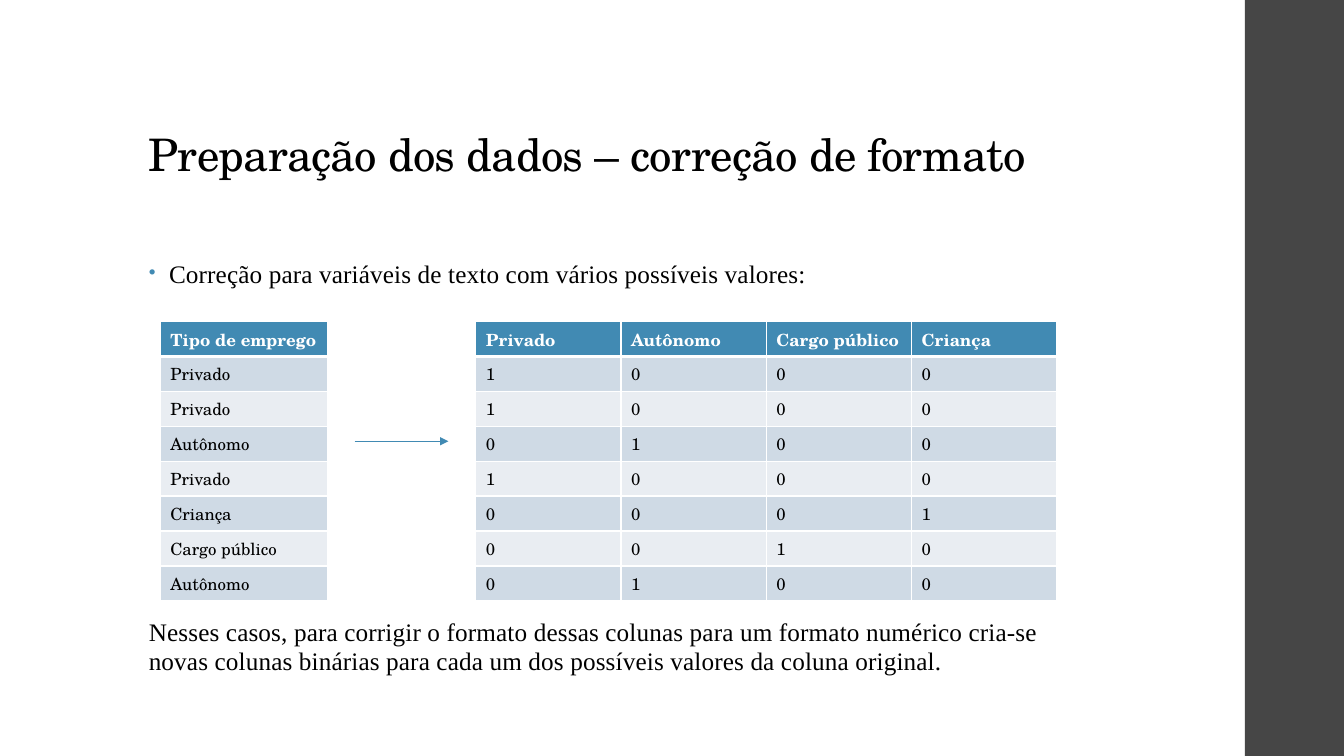
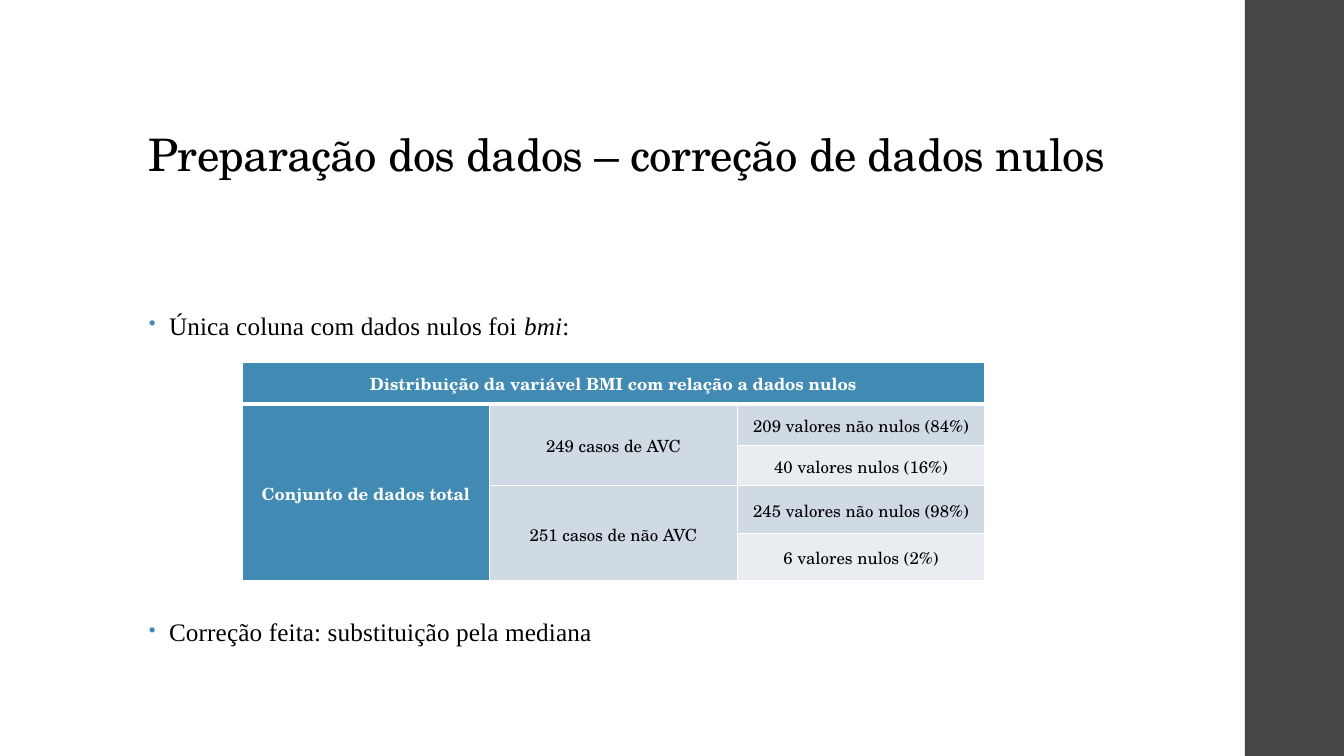
from lxml.etree import SubElement
from pptx import Presentation
from pptx.dml.color import RGBColor
from pptx.enum.shapes import MSO_CONNECTOR, MSO_SHAPE
from pptx.enum.text import MSO_ANCHOR, PP_ALIGN
from pptx.oxml import parse_xml
from pptx.oxml.ns import nsdecls, qn
from pptx.util import Cm, Pt

BLUE, DARK, LIGHT, PALE = "418AB3", "464646", "CFDAE5", "E9EDF2"
WHITE, BLACK = "FFFFFF", "000000"
HEADING_FONT, BODY_FONT = "TeX Gyre Schola", "Times New Roman"
rgb = RGBColor.from_string


def write(paragraph, text, size, font, color=BLACK, spacing=0, bold=False, italic=False):
    """Add one formatted run; spacing is in hundredths of a point."""
    run = paragraph.add_run()
    run.text = text
    run.font.size, run.font.name = Pt(size), font
    run.font.bold, run.font.italic = bold, italic
    run.font.color.rgb = rgb(color)
    if spacing:
        run.font._element.set("spc", str(spacing))


def fill_cell(cell, text, fill, heading=False, thick_side=None):
    """Write a table cell with its fill and white borders, one side optionally thick."""
    write(cell.text_frame.paragraphs[0], text, 12, HEADING_FONT,
          WHITE if heading else BLACK, bold=heading)
    properties = cell._tc.get_or_add_tcPr()
    for side in ("lnL", "lnR", "lnT", "lnB"):
        width = Pt(3 if side == thick_side else 1)
        properties.append(parse_xml(
            f'<a:{side} {nsdecls("a")} w="{width}"><a:solidFill>'
            f'<a:srgbClr val="{WHITE}"/></a:solidFill></a:{side}>'))
    cell.fill.solid()
    cell.fill.fore_color.rgb = rgb(fill)


deck = Presentation()
deck.slide_width, deck.slide_height = Cm(33.87), Cm(19.05)

# Each body text: top in cm, bulleted or not, runs as (text, italic)
contents = [
    ("Preparação dos dados – correção de formato", [
        (6.45, True, [("Correção para variáveis de texto com vários possíveis valores:", False)]),
        (15.47, False, [("Nesses casos, para corrigir o formato dessas colunas para um formato "
                         "numérico cria-se novas colunas binárias para cada um dos possíveis "
                         "valores da coluna original.", False)]),
    ]),
    ("Preparação dos dados – correção de dados nulos", [
        (7.75, True, [("Única coluna com dados nulos foi ", False), ("bmi", True), (":", False)]),
        (15.47, True, [("Correção feita: substituição pela mediana", False)]),
    ]),
]
slides = []
for title, body in contents:
    slide = deck.slides.add_slide(deck.slide_layouts[6])
    slides.append(slide)
    band = slide.shapes.add_shape(MSO_SHAPE.RECTANGLE, Cm(31.37), 0, Cm(2.5), deck.slide_height)
    band.shadow.inherit = False
    band.fill.solid()
    band.fill.fore_color.rgb = rgb(DARK)
    band.line.fill.background()

    heading = slide.shapes.add_textbox(Cm(3.5), Cm(1.02), Cm(26.92), Cm(3.68)).text_frame
    heading.word_wrap = True
    heading.vertical_anchor = MSO_ANCHOR.BOTTOM
    heading.paragraphs[0].line_spacing = 0.9
    write(heading.paragraphs[0], title, 32, HEADING_FONT, spacing=-50)

    for top, bulleted, runs in body:
        statement = slide.shapes.add_textbox(Cm(3.5), Cm(top), Cm(23.88), Cm(1)).text_frame
        statement.word_wrap = True
        paragraph = statement.paragraphs[0]
        paragraph.line_spacing = 0.95
        if bulleted:
            layout = paragraph._p.get_or_add_pPr()
            layout.set("marL", str(Cm(0.51)))
            layout.set("indent", str(-Cm(0.51)))
            SubElement(SubElement(layout, qn("a:buClr")), qn("a:srgbClr")).set("val", BLUE)
            SubElement(layout, qn("a:buSzPct")).set("val", "80000")
            SubElement(layout, qn("a:buChar")).set("char", "•")
        for text, italic in runs:
            write(paragraph, text, 18, BODY_FONT, spacing=10, italic=italic)

# Slide 1: job types and their binary columns
format_slide, nulls_slide = slides
kinds = ["Privado", "Autônomo", "Cargo público", "Criança"]
jobs = ["Privado", "Privado", "Autônomo", "Privado", "Criança", "Cargo público", "Autônomo"]
job_rows = [["Tipo de emprego"]] + [[job] for job in jobs]
binary_rows = [kinds] + [[str(int(job == kind)) for kind in kinds] for job in jobs]
for left, column_width, rows in ((4.04, 4.22, job_rows), (11.99, 3.66, binary_rows)):
    columns = len(rows[0])
    table = format_slide.shapes.add_table(
        len(rows), columns, Cm(left), Cm(8.1), Cm(column_width * columns),
        Cm(0.88 * len(rows))).table
    for r, row in enumerate(rows):
        for c, text in enumerate(row):
            fill = BLUE if r == 0 else LIGHT if r % 2 else PALE
            fill_cell(table.cell(r, c), text, fill, r == 0, {0: "lnB", 1: "lnT"}.get(r))

arrow = format_slide.shapes.add_connector(
    MSO_CONNECTOR.STRAIGHT, Cm(8.94), Cm(11.12), Cm(11.3), Cm(11.12))
arrow.line.color.rgb = rgb(BLUE)
arrow.line.width = Pt(0.75)
SubElement(arrow.line._get_or_add_ln(), qn("a:tailEnd")).set("type", "triangle")
SubElement(arrow._element.spPr, qn("a:effectLst"))

# Slide 2: tree of null and non-null values
row_heights = [1.04, 1.04, 1.02, 1.2, 1.2]
distribution = [
    ["Distribuição da variável BMI com relação a dados nulos", "", ""],
    ["Conjunto de dados total", "249 casos de AVC", "209 valores não nulos (84%)"],
    ["", "", "40 valores nulos (16%)"],
    ["", "251 casos de não AVC", "245 valores não nulos (98%)"],
    ["", "", "6 valores nulos (2%)"],
]
table = nulls_slide.shapes.add_table(
    5, 3, Cm(6.1), Cm(9.14), Cm(18.72), Cm(sum(row_heights))).table
for row, height in zip(table.rows, row_heights):
    row.height = Cm(height)
for first, last in (((0, 0), (0, 2)), ((1, 0), (4, 0)), ((1, 1), (2, 1)), ((3, 1), (4, 1))):
    table.cell(*first).merge(table.cell(*last))
for r, row in enumerate(distribution):
    for c, text in enumerate(row):
        cell = table.cell(r, c)
        is_heading = r == 0 or c == 0
        fill = BLUE if is_heading else PALE if c == 2 and r % 2 == 0 else LIGHT
        cell.vertical_anchor = MSO_ANCHOR.MIDDLE
        cell.margin_left = cell.margin_right = Cm(0.18)
        cell.margin_top = cell.margin_bottom = 0
        cell.text_frame.paragraphs[0].alignment = PP_ALIGN.CENTER
        cell.text_frame.paragraphs[0].line_spacing = 1.07
        if text:
            fill_cell(cell, text, fill, is_heading, {0: "lnB", 1: "lnT"}.get(r))

deck.save("out.pptx")
